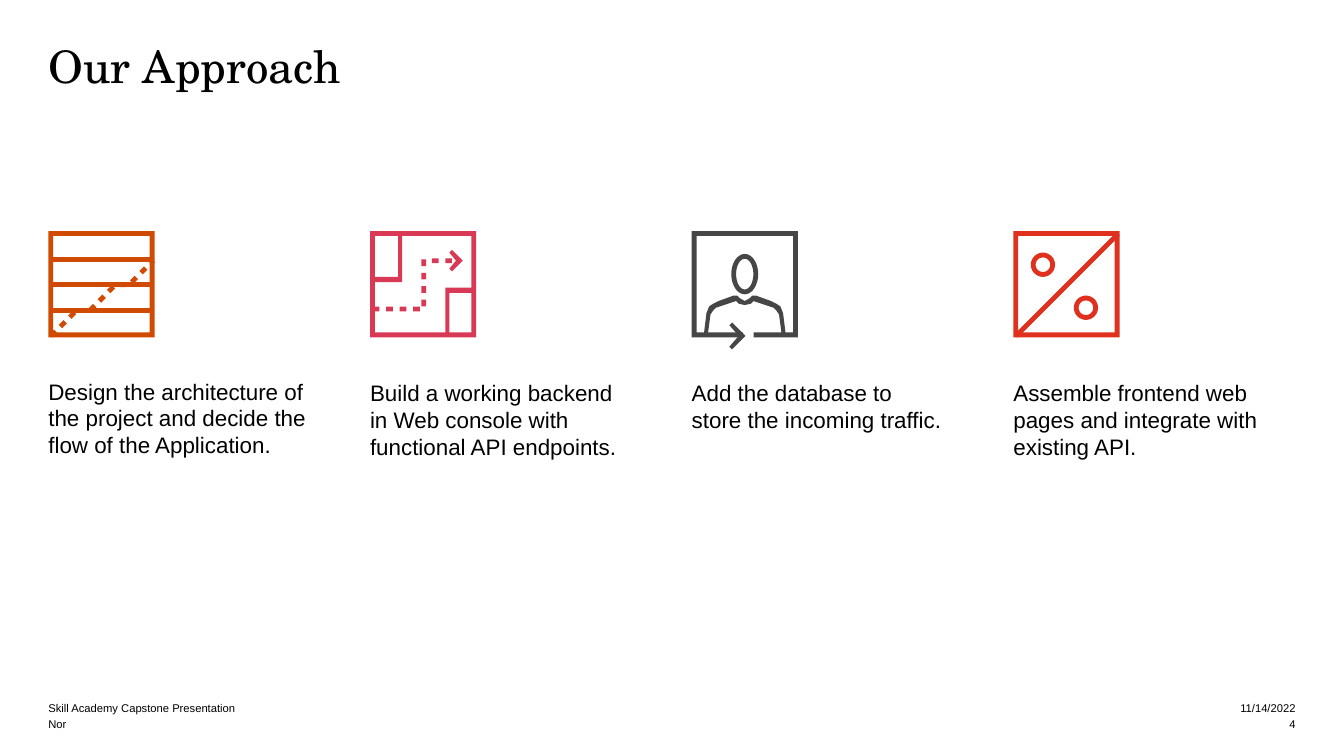
from math import cos, hypot, sin, tau
from lxml.etree import SubElement
from pptx import Presentation
from pptx.dml.color import RGBColor as Rgb
from pptx.enum.text import MSO_ANCHOR as Anchor, MSO_AUTO_SIZE as Fit, PP_ALIGN as Align
from pptx.oxml.ns import qn
from pptx.util import Inches, Pt

SIDE = 0.79
THICK = SIDE / 22
LEFT = 0.36
STEP = (7.54 - LEFT) / 3
TOP = 1.72
STEPS = [
    "Design the architecture of the project and decide the flow of the Application.",
    "Build a working backend in Web console with functional API endpoints.",
    "Add the database to store the incoming traffic.",
    "Assemble frontend web pages and integrate with existing API.",
]


def paint(target, color):
    target.rgb = Rgb.from_string(color)


def write(shape, text, box, size=12, font="Arial", color="000000",
          align=Align.LEFT, anchor=Anchor.TOP, lead=1.0, after=0):
    shape.left, shape.top, shape.width, shape.height = map(Inches, box)
    frame = shape.text_frame
    frame.word_wrap = True
    frame.auto_size = Fit.NONE
    frame.vertical_anchor = anchor
    frame.margin_left = frame.margin_right = frame.margin_top = frame.margin_bottom = 0
    para = frame.paragraphs[0]
    para.alignment = align
    para.line_spacing = lead
    para.space_before, para.space_after = Pt(0), Pt(after)
    props = para._p.get_or_add_pPr()
    props.set("marL", "0")
    props.set("indent", "0")
    SubElement(props, qn("a:buNone"))
    run = para.add_run()
    run.text = text
    run.font.size, run.font.name, run.font.bold = Pt(size), font, False
    paint(run.font.color, color)


def label(slide, text, box, **style):
    shape = slide.shapes.add_textbox(*map(Inches, box))
    write(shape, text, box, size=6, anchor=Anchor.BOTTOM, **style)


def rect(x, y, right, low):
    return [(x, y), (right, y), (right, low), (x, low)]


def frame():
    return [rect(0, 0, SIDE, SIDE), rect(THICK, THICK, SIDE - THICK, SIDE - THICK)]


def bar(x, y, end, low):
    span = hypot(end - x, low - y)
    dx = (low - y) / span * THICK / 2
    dy = (end - x) / span * THICK / 2
    return [(x + dx, y - dy), (end + dx, low - dy), (end - dx, low + dy), (x - dx, y + dy)]


def dashes(x, y, dx, dy, count, part=0.5):
    starts = [(x + dx * k, y + dy * k) for k in range(count)]
    return [bar(a, b, a + dx * part, b + dy * part) for a, b in starts]


def arrow(x, y, reach):
    back, edge = x - reach, reach - 0.02
    return [[(back, y + reach), (back - 0.02, y + edge), (x - 0.05, y),
             (back - 0.02, y - edge), (back, y - reach), (x, y)]]


def oval(x, y, wide, high):
    turns = [tau * k / 48 for k in range(48)]
    return [(x + wide * cos(t), y + high * sin(t)) for t in turns]


def ring(x, y, wide, high):
    return [oval(x, y, wide, high), oval(x, y, wide - THICK, high - THICK)]


def flip(points):
    return [(SIDE - x, y) for x, y in points]


def bust():
    mid = SIDE / 2
    outer = [(0.09, 0.77), (0.11, 0.61), (0.13, 0.56), (0.16, 0.54), (0.2, 0.52),
             (0.31, 0.48), (0.34, 0.48), (0.36, 0.5), (mid, 0.52)]
    inner = [(0.12, 0.77), (0.14, 0.62), (0.16, 0.59), (0.18, 0.57), (0.21, 0.56),
             (0.33, 0.52), (0.35, 0.54), (mid, 0.55)]
    return [outer + flip(outer[::-1]) + flip(inner) + inner[::-1]]


def plan():
    rows = [[bar(0.02, y, 0.78, y)] for y in (0.21, 0.4, 0.59)]
    low = dashes(0.02, 0.78, 0.07, -0.07, 3)
    high = (dashes(0.31, 0.59, 0.07, -0.07, 3) + [bar(0.53, 0.4, 0.58, 0.4)]
            + dashes(0.62, 0.38, 0.07, -0.07, 2) + [bar(0.76, 0.24, 0.78, 0.22)])
    return [frame(), *rows, low, high]


def flow():
    near = [(0.24, 0.38), (0.01, 0.38), (0.01, 0.34), (0.21, 0.34), (0.21, 0.02), (0.24, 0.02)]
    far = [(0.59, 0.78), (0.56, 0.78), (0.56, 0.42), (0.77, 0.42), (0.77, 0.46), (0.59, 0.46)]
    route = (dashes(0.02, 0.58, 0.1, 0, 4) + dashes(0.4, 0.56, 0, -0.1, 4)
             + dashes(0.46, 0.22, 0.1, 0, 2) + [bar(0.66, 0.22, 0.67, 0.22)])
    return [frame(), [near], [far], route, arrow(0.69, 0.22, 0.08)]


def user():
    rim = SIDE - THICK
    edge = [(SIDE, SIDE), (0.46, SIDE), (0.46, rim), (rim, rim), (rim, THICK), (THICK, THICK),
            (THICK, rim), (0.38, rim), (0.38, SIDE), (0, SIDE), (0, 0), (SIDE, 0)]
    return [[edge], bust(), ring(SIDE / 2, 0.32, 0.1, 0.15), arrow(0.4, 0.78, 0.1)]


def rate():
    return [frame(), ring(0.22, 0.25, 0.09, 0.09), ring(0.54, 0.57, 0.09, 0.09),
            [bar(0.02, 0.78, 0.78, 0.02)]]


def icon(slide, left, parts, color):
    group = slide.shapes.add_group_shape()
    for loops in parts:
        paths = [[(Inches(left + x), Inches(TOP + y)) for x, y in loop] for loop in loops]
        pen = group.shapes.build_freeform(*paths[0][0], scale=1.0)
        for k, path in enumerate(paths):
            if k:
                pen.move_to(*path[0])
            pen.add_line_segments(path[1:], close=True)
        shape = pen.convert_to_shape()
        shape.shadow.inherit = False
        shape.fill.solid()
        paint(shape.fill.fore_color, color)
        shape.line.fill.background()


def main():
    deck = Presentation()
    deck.slide_width, deck.slide_height = Inches(10), Inches(10 * 9 / 16)
    slide = deck.slides.add_slide(deck.slide_layouts[4])
    title, *bodies = slide.placeholders
    write(title, "Our Approach", (LEFT, 0.35, 9.27, 1.14), size=24,
          font="TeX Gyre Schola", lead=0.85)
    icons = [(plan, "D04A02"), (flow, "D93954"), (user, "464646"), (rate, "E0301E")]
    for k, (body, text, (draw, color)) in enumerate(zip(bodies, STEPS, icons)):
        left = LEFT + STEP * k
        box = (left, 2.82, 1.88, 2.24) if k else (left, 2.81, 2.1, 2.25)
        write(body, text, box, after=0 if k else 2)
        icon(slide, left, draw(), color)
    notes = [("Skill Academy Capstone Presentation", "11/14/2022"), ("Nor", "4")]
    for k, (name, mark) in enumerate(notes):
        y = 5.21 + 0.12 * k
        label(slide, name, (LEFT, y, 4.49, 0.11))
        label(slide, mark, (6.74, y, 2.9, 0.11), align=Align.RIGHT)
    deck.save("out.pptx")


if __name__ == "__main__":
    main()
